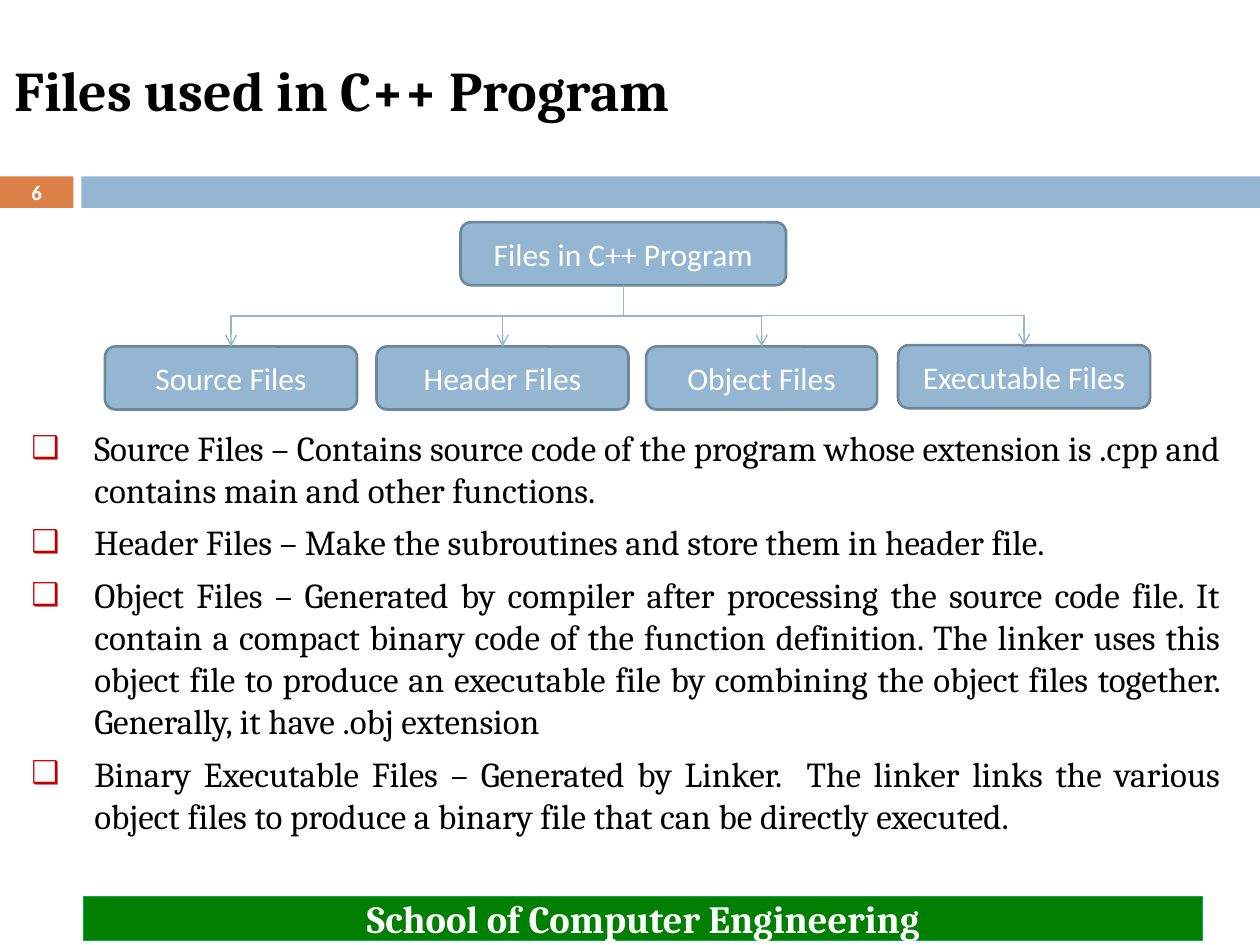
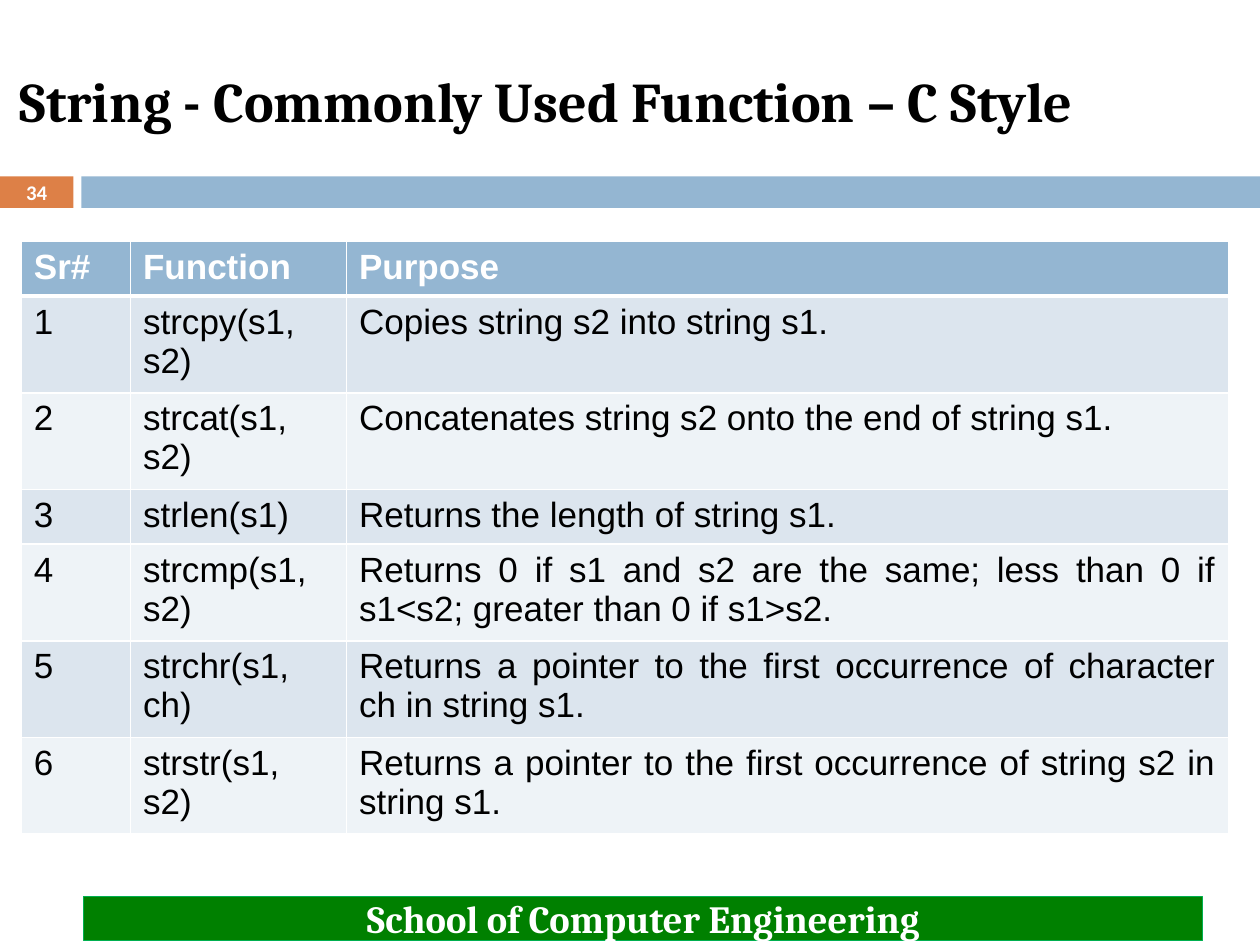
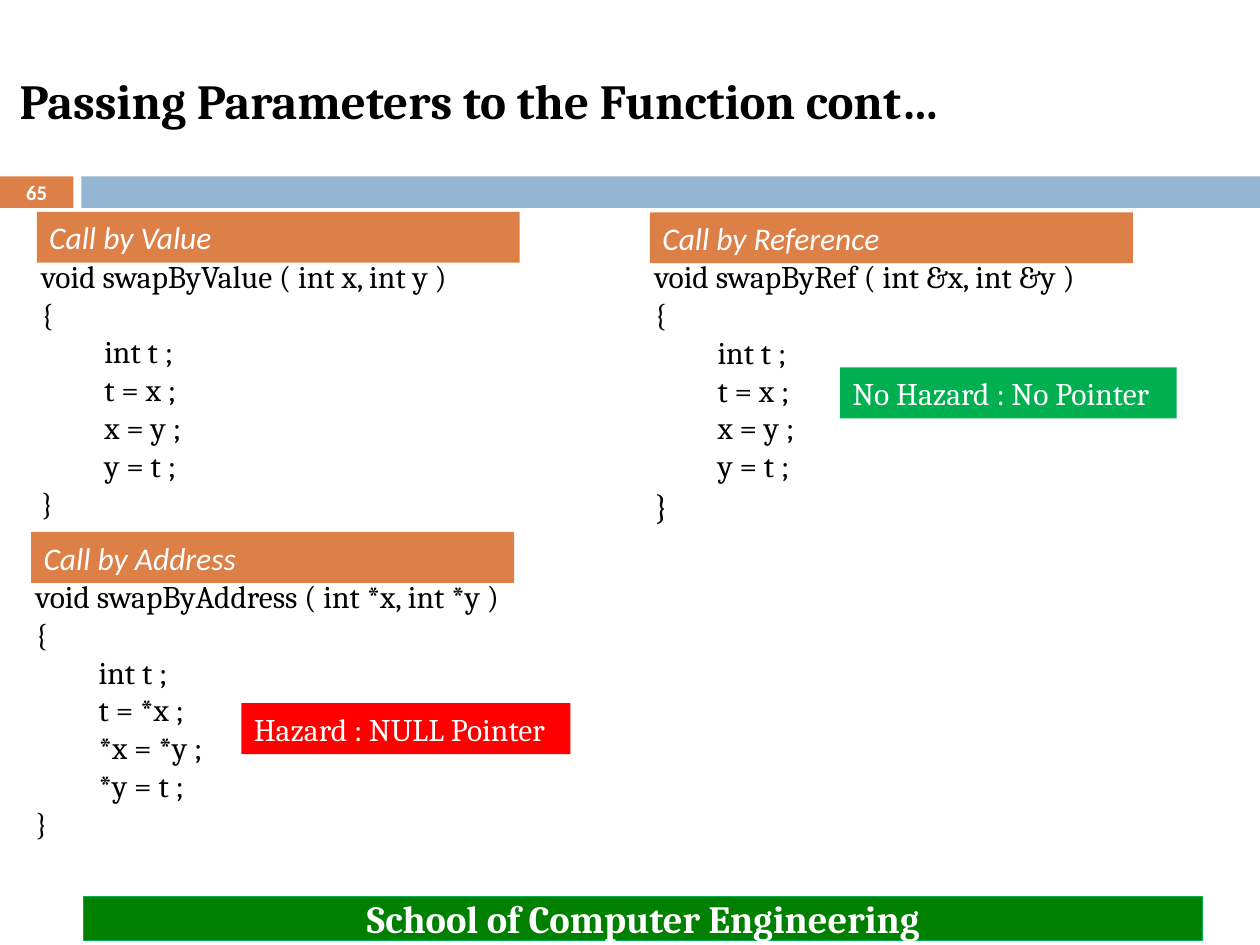
from lxml import etree
from pptx import Presentation
from pptx.dml.color import RGBColor
from pptx.enum import shapes, text
from pptx.oxml import ns
from pptx.util import Pt

COLORS = {
    "black": "000000", "white": "FFFFFF", "blue": "94B6D2", "edge": "6D879B",
    "orange": "DD8047", "footer": "008000", "green": "00B050", "red": "FF0000",
    "bullet": "C00000", "odd": "DCE5EE", "even": "EEF3F7",
}
HEAD, BODY, TABLE = "Cambria", "Calibri", "Arial"
ALIGN, ANCHOR = text.PP_ALIGN, text.MSO_ANCHOR
RECT, ROUND = shapes.MSO_SHAPE.RECTANGLE, shapes.MSO_SHAPE.ROUNDED_RECTANGLE
TITLE_AND_BODY, TITLE_ONLY = 1, 5
ONE_LINE, TWO_LINES = 29.6, 51.7


def rgb(name):
    return RGBColor.from_string(COLORS[name])


def sub(parent, tag, **attrs):
    return etree.SubElement(parent, ns.qn(tag), attrs)


def write(p, words, font=HEAD, size=18, color="black", bold=False, italic=False,
          align=ALIGN.LEFT, before=0):
    """Put one formatted run into a paragraph."""
    p.alignment, p.space_before = align, Pt(before)
    r = p.add_run()
    r.text = words
    f = r.font
    f.name, f.size, f.bold, f.italic = font, Pt(size), bold, italic
    f.color.rgb = rgb(color)


def paragraphs(tf, count):
    return [tf.paragraphs[0]] + [tf.add_paragraph() for _ in range(count - 1)]


def indent(p, left, first=0):
    pPr = p._p.get_or_add_pPr()
    pPr.set("marL", str(Pt(left)))
    pPr.set("indent", str(Pt(first)))
    return pPr


def borders(cell, top, bottom):
    """Give a cell white edges; must run before the cell is filled."""
    tcPr = cell._tc.get_or_add_tcPr()
    for side, width in (("L", 1), ("R", 1), ("T", top), ("B", bottom)):
        ln = sub(tcPr, f"a:ln{side}", w=str(Pt(width)))
        sub(sub(ln, "a:solidFill"), "a:srgbClr", val=COLORS["white"])


class Deck:
    def __init__(self):
        self.prs = Presentation()
        self.prs.slide_width, self.prs.slide_height = Pt(720), Pt(540)
        self.s = None

    def slide(self, layout, number, title, box, size=32):
        """Start a slide with its bands, title, number and footer."""
        self.s = self.prs.slides.add_slide(self.prs.slide_layouts[layout])
        self.box((0, 100.8, 42, 18), "orange")
        self.box((46.5, 100.8, 673.5, 18), "blue")
        sp = self.place(self.s.shapes.title, box)
        sp.text_frame.vertical_anchor = ANCHOR.MIDDLE
        write(sp.text_frame.paragraphs[0], title, size=size, bold=True)
        self.box((47.8, 512.3, 639.4, 25.2), "footer", "School of Computer Engineering",
                 line="green", width=0.75, size=22, color="white", bold=True,
                 align=ALIGN.CENTER)
        tf = self.textbox((0, 100, 42, 19.5))
        tf.vertical_anchor = ANCHOR.MIDDLE
        write(tf.paragraphs[0], number, font=BODY, size=11.9, color="white", bold=True,
              align=ALIGN.CENTER)

    def place(self, sp, box):
        sp.left, sp.top, sp.width, sp.height = map(Pt, box)
        sp.text_frame.word_wrap = True
        sp.text_frame.auto_size = text.MSO_AUTO_SIZE.NONE
        return sp

    def textbox(self, box):
        tf = self.s.shapes.add_textbox(*map(Pt, box)).text_frame
        tf.word_wrap = True
        return tf

    def box(self, box, fill, words=None, kind=RECT, line=None, width=1.5, **fmt):
        sp = self.s.shapes.add_shape(kind, *map(Pt, box))
        sp.shadow.inherit = False
        sp.fill.solid()
        sp.fill.fore_color.rgb = rgb(fill)
        if line:
            sp.line.color.rgb = rgb(line)
            sp.line.width = Pt(width)
        else:
            sp.line.fill.background()
        if words:
            sp.text_frame.word_wrap = True
            sp.text_frame.vertical_anchor = ANCHOR.MIDDLE
            write(sp.text_frame.paragraphs[0], words, **fmt)
        return sp

    def node(self, words, box):
        return self.box(box, "blue", words, kind=ROUND, line="edge", font=BODY,
                        color="white", align=ALIGN.CENTER)

    def elbow(self, parent, child):
        """Join parent's bottom to child's top, leaving and arriving vertically."""
        c = self.s.shapes.add_connector(shapes.MSO_CONNECTOR.ELBOW, 0, 0, 0, 0)
        c.begin_connect(parent, 2)
        c.end_connect(child, 0)
        x1, x2 = parent.left + parent.width // 2, child.left + child.width // 2
        y1, y2 = parent.top + parent.height, child.top
        drop, run, right = y2 - y1, abs(x2 - x1), x2 > x1
        c.left, c.top = (x1 + x2 - drop) // 2, (y1 + y2 - run) // 2
        c.width, c.height = drop, run
        spPr = c._element.spPr
        xfrm = spPr.find(ns.qn("a:xfrm"))
        xfrm.set("rot", str((270 if right else 90) * 60000))
        xfrm.set("flipH", str(int(right)))
        xfrm.set("flipV", "0")
        c.line.color.rgb = rgb("blue")
        c.line.width = Pt(0.79)
        sub(c.line._get_or_add_ln(), "a:tailEnd", type="arrow")
        sub(spPr, "a:effectLst")

    def bullets(self, box, items):
        tf = self.place(self.s.placeholders[1], box).text_frame
        for i, (p, item) in enumerate(zip(paragraphs(tf, len(items)), items)):
            pPr = indent(p, 40.2, -36)
            sub(sub(pPr, "a:buClr"), "a:srgbClr", val=COLORS["bullet"])
            sub(pPr, "a:buSzPct", val="90000")
            sub(pPr, "a:buFont", typeface=TABLE)
            sub(pPr, "a:buChar", char="❑")
            write(p, item, size=20, align=ALIGN.JUSTIFY, before=6 if i else 0)

    def table(self, left, top, widths, heights, rows):
        t = self.s.shapes.add_table(len(rows), len(widths), Pt(left), Pt(top),
                                    Pt(sum(widths)), Pt(sum(heights))).table
        for column, width in zip(t.columns, widths):
            column.width = Pt(width)
        for i, (row, height) in enumerate(zip(rows, heights)):
            t.rows[i].height = Pt(height)
            head = i == 0
            fill = "blue" if head else "odd" if i % 2 else "even"
            for j, words in enumerate(row):
                cell = t.cell(i, j)
                borders(cell, top=3 if i == 1 else 1, bottom=3 if head else 1)
                cell.fill.solid()
                cell.fill.fore_color.rgb = rgb(fill)
                justify = j == len(row) - 1 and not head
                write(cell.text_frame.paragraphs[0], words, font=TABLE, size=20,
                      color="white" if head else "black", bold=head,
                      align=ALIGN.JUSTIFY if justify else ALIGN.LEFT)

    def code(self, left, top, label, signature, body, closing=18):
        """Draw a labelled function whose body lines are indented."""
        lines = [signature, "{", *body, "}"]
        tf = self.textbox((left - 9, top + 22.2, 347, 160))
        for p, line in zip(paragraphs(tf, len(lines)), lines):
            indent(p, 40.5 if line in body else 4.5)
            write(p, line, size=closing if line == "}" else 18, align=ALIGN.JUSTIFY)
        self.box((left, top, 276, 29.1), "orange", label, font=BODY, color="white",
                 italic=True)


def files_slide(deck):
    deck.slide(TITLE_AND_BODY, "6", "Files used in C++ Program", (1, 12.2, 696, 78))
    root = deck.node("Files in C++ Program", (263.2, 127, 186, 36))
    for kind, left, top, width in (("Source", 60, 198, 144), ("Header", 215.2, 198, 144),
                                   ("Object", 369.2, 198, 132),
                                   ("Executable", 513.2, 197.3, 144)):
        deck.elbow(root, deck.node(f"{kind} Files", (left, top, width, 36)))
    deck.bullets((6.5, 240, 698.4, 243.4), [
        "Source Files – Contains source code of the program whose extension is .cpp "
        "and contains main and other functions.",
        "Header Files – Make the subroutines and store them in header file.",
        "Object Files – Generated by compiler after processing the source code file. "
        "It contain a compact binary code of the function definition. The linker uses "
        "this object file to produce an executable file by combining the object files "
        "together. Generally, it have .obj extension",
        "Binary Executable Files – Generated by Linker.  The linker links the various "
        "object files to produce a binary file that can be directly executed.",
    ])


def strings_slide(deck):
    deck.slide(TITLE_ONLY, "34", "String - Commonly Used Function – C Style",
               (4, 18, 642, 78))
    heights = [ONE_LINE, TWO_LINES, TWO_LINES, ONE_LINE] + [TWO_LINES] * 3
    deck.table(12.2, 138, (62.4, 123.4, 504), heights, [
        ("Sr#", "Function", "Purpose"),
        ("1", "strcpy(s1, s2)", "Copies string s2 into string s1."),
        ("2", "strcat(s1, s2)", "Concatenates string s2 onto the end of string s1."),
        ("3", "strlen(s1)", "Returns the length of string s1."),
        ("4", "strcmp(s1, s2)", "Returns 0 if s1 and s2 are the same; less than 0 if "
                                "s1<s2; greater than 0 if s1>s2."),
        ("5", "strchr(s1, ch)", "Returns a pointer to the first occurrence of "
                                "character ch in string s1."),
        ("6", "strstr(s1, s2)", "Returns a pointer to the first occurrence of string "
                                "s2 in string s1."),
    ])


def parameters_slide(deck):
    deck.slide(TITLE_ONLY, "65", "Passing Parameters to the Function cont…",
               (4, 18, 642, 78), size=28)
    swap = ["int t ;", "t = x ;", "x = y ;", "y = t ;"]
    deck.code(21, 121, "Call by Value", "void swapByValue ( int x, int y )", swap)
    deck.code(371.4, 121.3, "Call by Reference", "void swapByRef ( int &x, int &y )",
              swap, closing=20)
    deck.code(17.8, 304, "Call by Address", "void swapByAddress ( int *x, int *y )",
              ["int t ;", "t = *x ;", "*x = *y ;", "*y = t ;"])
    deck.box((138, 401.8, 188, 29.1), "red", "Hazard : NULL Pointer", color="white")
    deck.box((480, 210, 192.4, 29.1), "green", "No Hazard : No Pointer", color="white")


def main():
    deck = Deck()
    files_slide(deck)
    strings_slide(deck)
    parameters_slide(deck)
    deck.prs.save("out.pptx")


if __name__ == "__main__":
    main()
